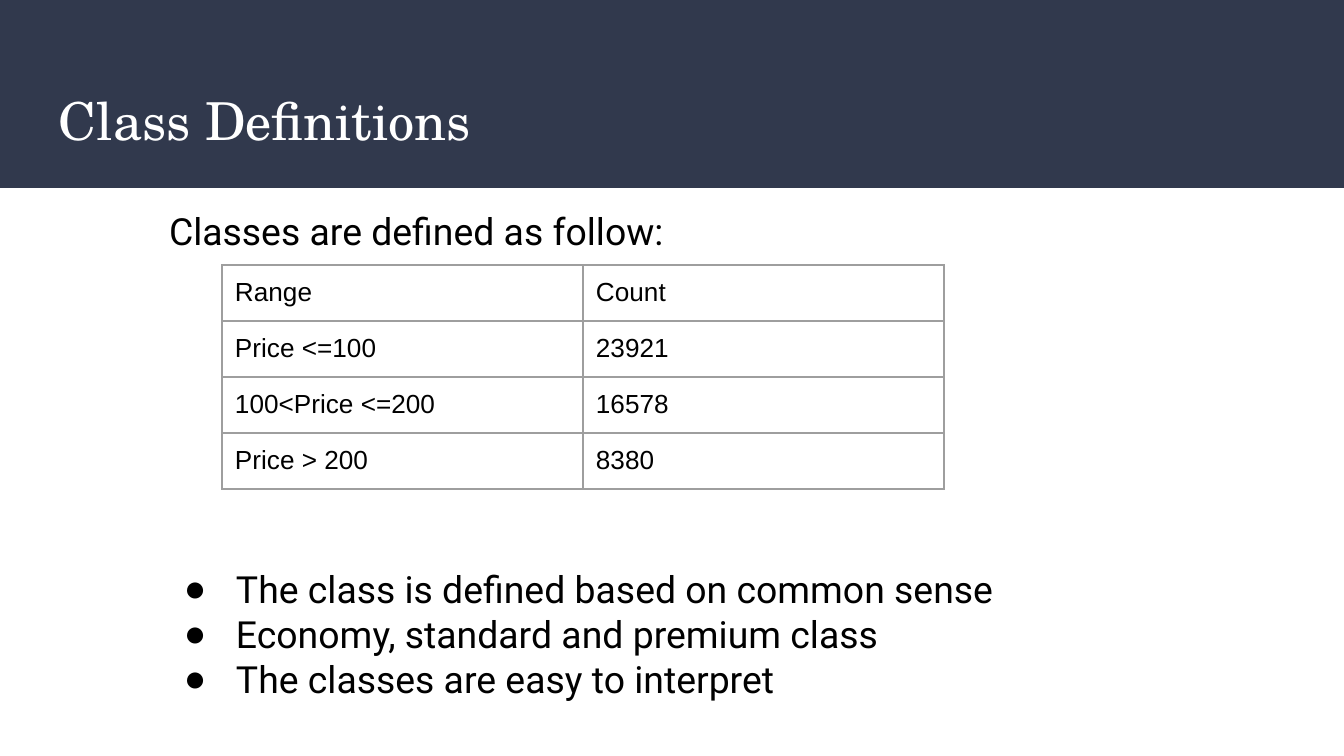
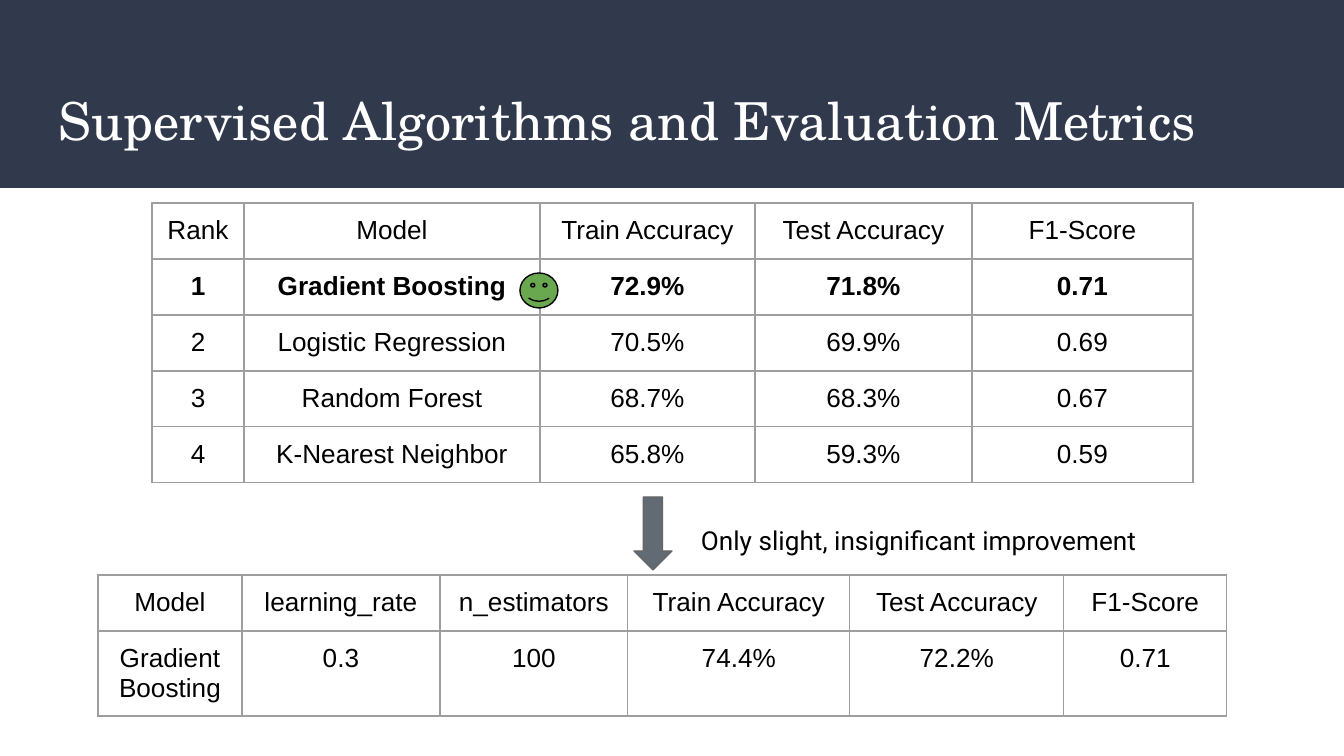
from pptx import Presentation
from pptx.dml.color import RGBColor
from pptx.enum.shapes import MSO_SHAPE as Shape
from pptx.enum.text import MSO_ANCHOR as Anchor, MSO_AUTO_SIZE as Fit, PP_ALIGN as Align
from pptx.oxml import parse_xml
from pptx.oxml.ns import nsdecls
from pptx.util import Pt

NAVY, WHITE, BLACK = "31394D", "FFFFFF", "000000"
GREEN, SLATE, GRAY, RULE = "6AA84F", "626B73", "666666", "9E9E9E"
SERIF, SANS, PLAIN = "TeX Gyre Schola", "Roboto", "Arial"
WIDE, HIGH, BAND = 1344, 756, 188
INSET, ROW = 13, 56


def px(n):
    return round(n * 914400 / 134.4)


def color(code):
    return RGBColor.from_string(code)


def place(item, box):
    item.left, item.top, item.width, item.height = map(px, box)


def style(para, face, size, code=BLACK, bold=False, align=Align.LEFT):
    para.alignment = align
    para.space_before = para.space_after = Pt(0)
    for run in para.runs:
        run.font.name, run.font.size, run.font.bold = face, Pt(size), bold
        run.font.color.rgb = color(code)


def frame(item, anchor=Anchor.TOP):
    text = item.text_frame
    text.word_wrap, text.auto_size = True, Fit.NONE
    text.vertical_anchor = anchor
    text.margin_left = text.margin_right = px(INSET)
    text.margin_top = text.margin_bottom = px(INSET)
    return text


def shape(slide, kind, box, fill, line=None):
    item = slide.shapes.add_shape(kind, *map(px, box))
    item.shadow.inherit = False
    item.fill.solid()
    item.fill.fore_color.rgb = color(fill)
    if line:
        item.line.color.rgb = color(line)
        item.line.width = Pt(0.75)
    else:
        item.line.fill.background()
    return item


def band(deck, slide):
    """Draw the title band and move it to the master, behind every slide."""
    item = shape(slide, Shape.RECTANGLE, (0, 0, WIDE, BAND), NAVY)
    deck.slide_master.shapes.element.insert(2, item.element)


def title(slide, words):
    item = slide.shapes.title
    place(item, (46, 74, 1252, 91))
    text = frame(item, Anchor.MIDDLE)
    text.text = words
    style(text.paragraphs[0], SERIF, 28, WHITE)


def note(slide, words, box):
    text = frame(slide.shapes.add_textbox(*map(px, box)))
    text.text = words
    style(text.paragraphs[0], SANS, 14)


def mark(para, left, hang, *tags):
    """Set the indent and the bullet tags of a paragraph."""
    props = para._p.get_or_add_pPr()
    props.set("marL", str(px(left)))
    props.set("indent", str(px(-hang)))
    for tag in tags:
        name = tag.split()[0]
        body = f'<a:srgbClr val="{BLACK}"/>' if name == "buClr" else ""
        props.append(parse_xml(f"<a:{tag} {nsdecls('a')}>{body}</a:{name}>"))


def points(slide, lead, items, box, gap):
    """Fill the body with a lead line and, after a gap in points, bullets."""
    body = slide.placeholders[1]
    place(body, box)
    text = frame(body)
    text.text = "\n".join([lead, *items])
    first, *rest = text.paragraphs
    style(first, SANS, 20)
    mark(first, 67, 0, "buNone")
    for para in rest:
        style(para, SANS, 20)
        if para is rest[0]:
            para.space_before = Pt(gap)
        mark(para, 134, 52, "buClr", 'buChar char="●"')


def edge(cell):
    props = cell._tc.get_or_add_tcPr()
    for spot, side in enumerate("LRTB"):
        props.insert(spot, parse_xml(
            f'<a:ln{side} {nsdecls("a")} w="{Pt(0.75)}"><a:solidFill>'
            f'<a:srgbClr val="{RULE}"/></a:solidFill></a:ln{side}>'))


def table(slide, left, top, cols, rows, highs=None, align=Align.CENTER, best=None):
    """Draw a ruled grid; best is the index of the row set in bold."""
    highs = highs or [ROW] * len(rows)
    box = (left, top, sum(cols), sum(highs))
    grid = slide.shapes.add_table(len(rows), len(cols), *map(px, box)).table
    grid.first_row = grid.horz_banding = False
    for col, wide in zip(grid.columns, cols):
        col.width = px(wide)
    for r, (row, high) in enumerate(zip(rows, highs)):
        grid.rows[r].height = px(high)
        for c, words in enumerate(row):
            cell = grid.cell(r, c)
            cell.margin_left = cell.margin_right = px(INSET)
            cell.margin_top = cell.margin_bottom = px(INSET)
            cell.fill.background()
            edge(cell)
            cell.text_frame.text = words
            style(cell.text_frame.paragraphs[0], PLAIN, 14,
                  bold=r == best, align=align)


def classes(slide):
    title(slide, "Class Definitions")
    points(slide, "Classes are defined as follow:", [
        "The class is defined based on common sense",
        "Economy, standard and premium class",
        "The classes are easy to interpret",
    ], (89, 195, 1079, 519), 168)
    table(slide, 222, 265, [361, 361], [
        ("Range", "Count"),
        ("Price <=100", "23921"),
        ("100<Price <=200", "16578"),
        ("Price > 200", "8380"),
    ], align=Align.LEFT)


def metrics(slide):
    title(slide, "Supervised Algorithms and Evaluation Metrics")
    scores = ("Train Accuracy", "Test Accuracy", "F1-Score")
    table(slide, 152, 203, [92, 296, 215, 217, 221], [
        ("Rank", "Model", *scores),
        ("1", "Gradient Boosting", "72.9%", "71.8%", "0.71"),
        ("2", "Logistic Regression", "70.5%", "69.9%", "0.69"),
        ("3", "Random Forest", "68.7%", "68.3%", "0.67"),
        ("4", "K-Nearest Neighbor", "65.8%", "59.3%", "0.59"),
    ], best=1)
    smile = shape(slide, Shape.SMILEY_FACE, (520, 273, 38, 35), GREEN, BLACK)
    smile.adjustments[0] = 0.05
    table(slide, 98, 575, [144, 198, 188, 222, 214, 163], [
        ("Model", "learning_rate", "n_estimators", *scores),
        ("Gradient Boosting", "0.3", "100", "74.4%", "72.2%", "0.71"),
    ], highs=[ROW, 85])
    shape(slide, Shape.DOWN_ARROW, (634, 497, 38, 73), SLATE, GRAY)
    note(slide, "Only slight, insignificant improvement", (688, 511, 512, 46))


def main():
    deck = Presentation()
    deck.slide_width, deck.slide_height = px(WIDE), px(HIGH)
    first = deck.slides.add_slide(deck.slide_layouts[1])
    band(deck, first)
    classes(first)
    metrics(deck.slides.add_slide(deck.slide_layouts[5]))
    deck.save("out.pptx")


if __name__ == "__main__":
    main()
